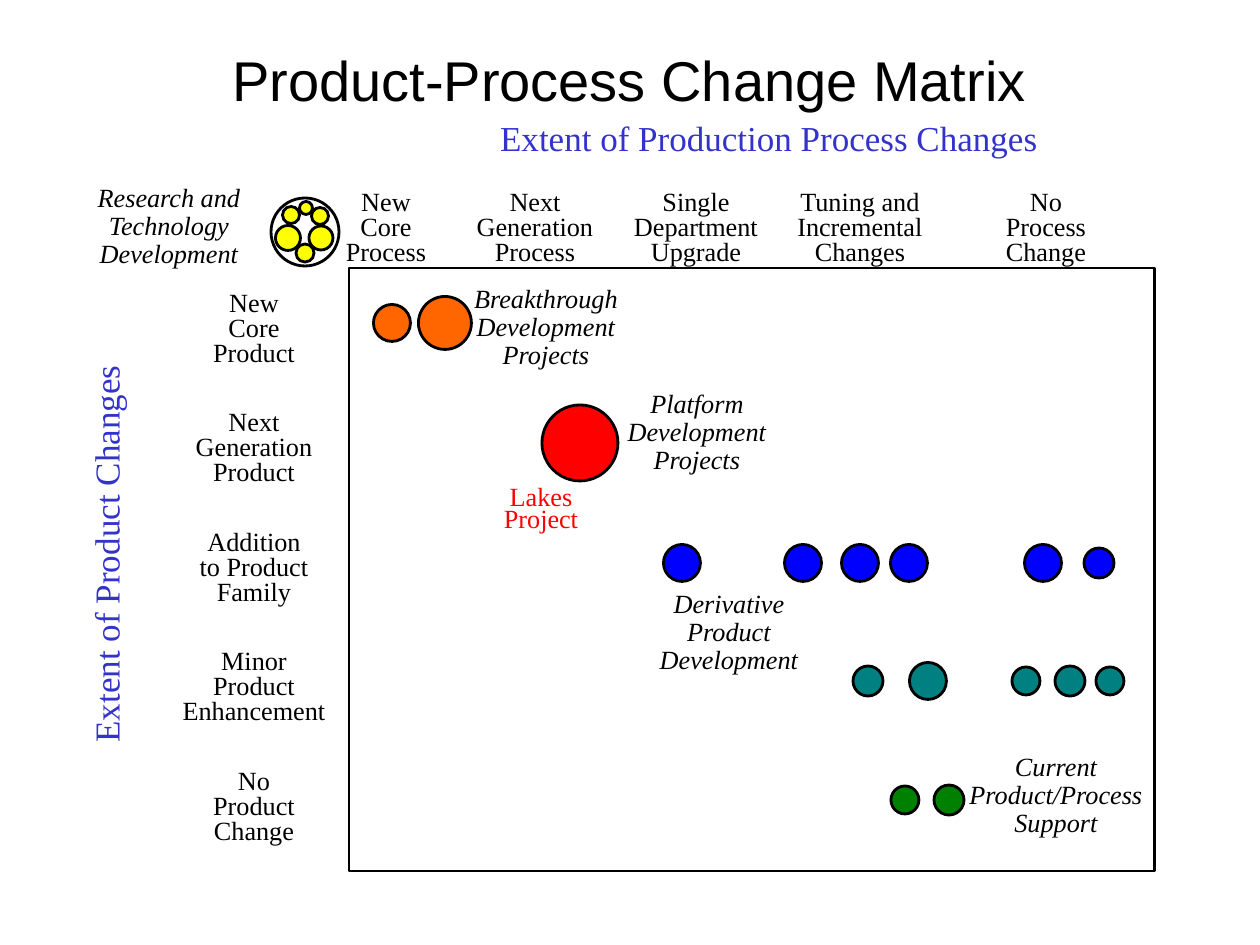
from pptx import Presentation
from pptx.dml.color import RGBColor
from pptx.enum.shapes import MSO_SHAPE
from pptx.enum.text import MSO_ANCHOR, MSO_AUTO_SIZE, PP_ALIGN
from pptx.util import Pt

SCALE = 914400 / 126  # EMU per px
COLORS = {
    "black": "000000", "axis": "3333CC", "orange": "FF6600", "red": "FF0000",
    "blue": "0000FF", "teal": "008080", "green": "008000", "yellow": "FFFF00",
}
LINE_HEIGHT = 32
# Width in px of each label line
WIDTHS = {
    "New": 52, "Core": 54, "Process": 83, "Next": 54, "Generation": 119,
    "Single": 70, "Department": 126, "Upgrade": 93, "Tuning and": 124,
    "Incremental": 128, "Changes": 93, "No": 35, "Change": 83, "Product": 86,
    "Addition": 96, "to Product": 111, "Family": 77, "Minor": 68,
    "Enhancement": 145, "Lakes": 65, "Project": 77, "Research and": 146,
    "Technology": 124, "Development": 141, "Breakthrough": 148, "Projects": 90,
    "Platform": 96, "Derivative": 113, "Current": 85, "Product/Process": 177,
    "Support": 86,
}

presentation = Presentation()
presentation.slide_width = round(1260 * SCALE)
presentation.slide_height = round(945 * SCALE)
slide = presentation.slides.add_slide(presentation.slide_layouts[6])


def add_text(text, box, size, color="black", font_name="Times New Roman", italic=False):
    shape = slide.shapes.add_textbox(*(round(value * SCALE) for value in box))
    frame_format = {
        "margin_left": 0, "margin_right": 0, "margin_top": 0, "margin_bottom": 0,
        "word_wrap": False, "auto_size": MSO_AUTO_SIZE.SHAPE_TO_FIT_TEXT,
    }
    for name, value in frame_format.items():
        setattr(shape.text_frame, name, value)
    paragraph = shape.text_frame.paragraphs[0]
    paragraph.alignment = PP_ALIGN.CENTER
    run = paragraph.add_run()
    run.text = text
    font_format = {"name": font_name, "size": Pt(size), "italic": italic}
    for name, value in font_format.items():
        setattr(run.font, name, value)
    run.font.color.rgb = RGBColor.from_string(COLORS[color])
    return shape


def add_outlined(kind, box, fill=None):
    shape = slide.shapes.add_shape(kind, *(round(value * SCALE) for value in box))
    shape.shadow.inherit = False
    if fill:
        shape.fill.solid()
        shape.fill.fore_color.rgb = RGBColor.from_string(COLORS[fill])
    else:
        shape.fill.background()
    shape.line.color.rgb = RGBColor.from_string(COLORS["black"])
    shape.line.width = Pt(1.62)


# Title, matrix frame and axis titles
title = add_text("Product-Process Change Matrix", (94, 11, 1071, 136), 32, font_name="Arial")
title.text_frame.auto_size = MSO_AUTO_SIZE.NONE
title.text_frame.word_wrap = True
title.text_frame.vertical_anchor = MSO_ANCHOR.MIDDLE
add_outlined(MSO_SHAPE.RECTANGLE, (349, 268, 806, 603))
add_text("Extent of Production Process Changes", (500, 116, 538, 42), 20, "axis")
product_axis = add_text("Extent of Product Changes", (-83, 533, 377, 42), 20, "axis")
product_axis.rotation = 270

# Labels: centre x, top, line pitch, colour, italic, lines
columns = [
    (386, ["New", "Core", "Process"]),
    (535, ["Next", "Generation", "Process"]),
    (696, ["Single", "Department", "Upgrade"]),
    (860, ["Tuning and", "Incremental", "Changes"]),
    (1046, ["No", "Process", "Change"]),
]
rows = [
    ["New", "Core", "Product"],
    ["Next", "Generation", "Product"],
    ["Addition", "to Product", "Family"],
    ["Minor", "Product", "Enhancement"],
    ["No", "Product", "Change"],
]
project_types = [
    (169, 181, ["Research and", "Technology", "Development"]),
    (546, 282, ["Breakthrough", "Development", "Projects"]),
    (697, 387, ["Platform", "Development", "Projects"]),
    (729, 587, ["Derivative", "Product", "Development"]),
    (1056, 750, ["Current", "Product/Process", "Support"]),
]
labels = [(center, 185, 25, "black", False, lines) for center, lines in columns]
labels += [(254, 286 + index * 239 // 2, 25, "black", False, lines)
           for index, lines in enumerate(rows)]
labels += [(center, top, 28, "black", True, lines) for center, top, lines in project_types]
labels.append((541, 480, 22, "red", False, ["Lakes", "Project"]))

for center, top, pitch, color, italic, lines in labels:
    for index, line in enumerate(lines):
        width = WIDTHS[line]
        box = (center - width / 2, top + index * pitch, width, LINE_HEIGHT)
        add_text(line, box, 15, color, italic=italic)

# Projects by colour: centre x, centre y, diameter
projects = [
    (None, [(305, 232, 68)]),
    ("yellow", [(291, 215, 17), (320, 216, 17), (305, 253, 18),
                (321, 238, 24), (288, 238, 25), (306, 208, 13)]),
    ("orange", [(392, 323, 37), (445, 323, 53)]),
    ("red", [(580, 443, 76)]),
    ("blue", [(682, 563, 37), (803, 563, 37), (860, 563, 37),
              (909, 563, 37), (1043, 563, 37), (1099, 563, 30)]),
    ("teal", [(868, 681, 30), (928, 681, 37), (1026, 681, 28),
              (1070, 681, 30), (1110, 681, 28)]),
    ("green", [(905, 800, 28), (949, 800, 30)]),
]
for color, circles in projects:
    for x, y, diameter in circles:
        box = (x - diameter / 2, y - diameter / 2, diameter, diameter)
        add_outlined(MSO_SHAPE.OVAL, box, color)

presentation.save("out.pptx")
